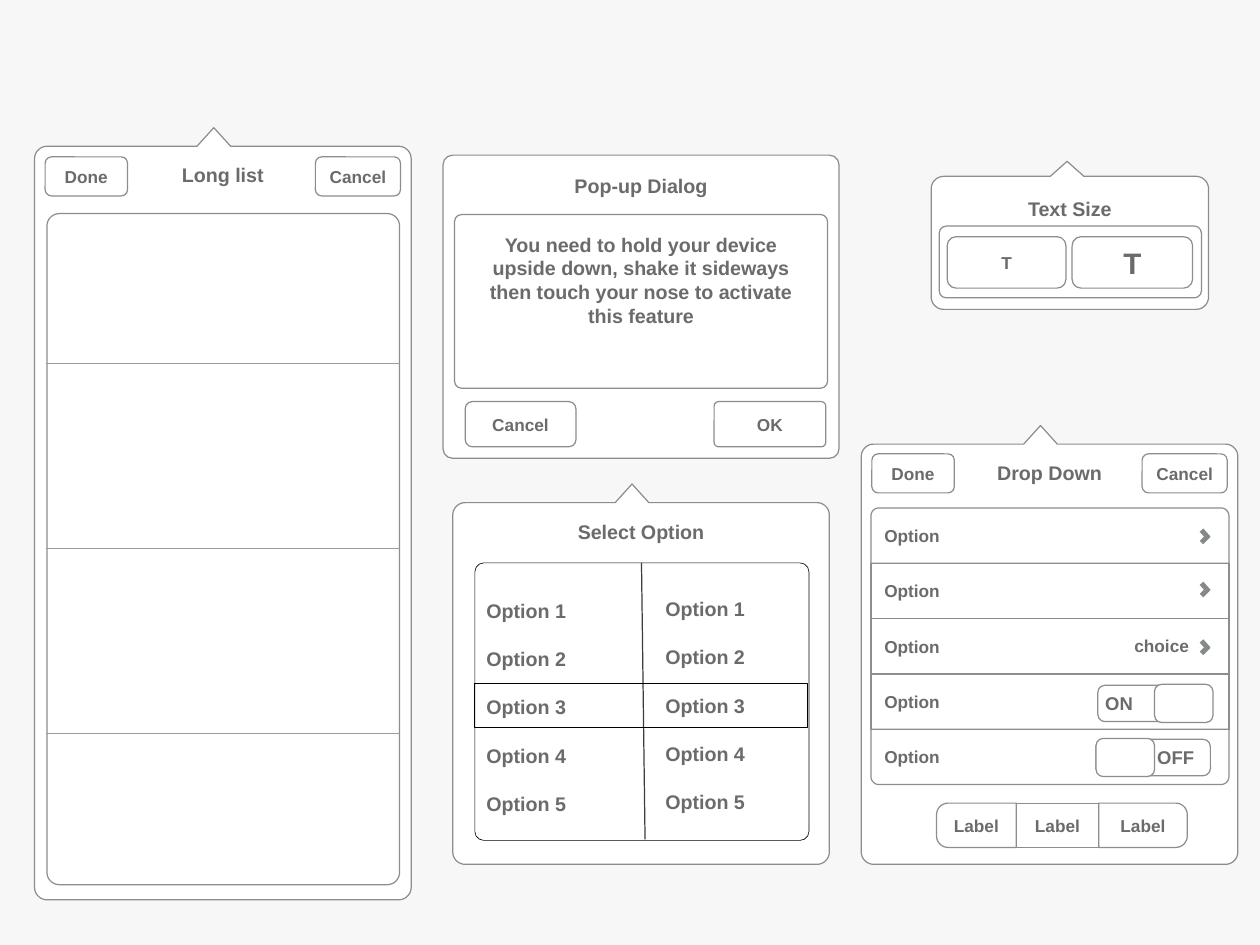
from math import cos, radians, sin

from lxml.etree import SubElement
from pptx import Presentation
from pptx.dml.color import RGBColor
from pptx.enum.shapes import MSO_CONNECTOR, MSO_SHAPE
from pptx.enum.text import MSO_ANCHOR as Anchor, PP_ALIGN as Align
from pptx.oxml.ns import qn
from pptx.util import Inches, Pt

SIZE = (14.22, 10.66)
PAPER, WHITE, BLACK = "F7F7F7", "FFFFFF", "000000"
EDGE, INK, RULE, MIDDLE, CHEVRON = "8D8D8D", "6B6B6B", "9B9B9B", "3C3C3C", "86898A"
ROUND, BUTTON, TOGGLE = 0.14, 0.07, 0.08
TITLE = {"size": 16, "anchor": Anchor.TOP, "insets": (0.18, 0.4, 0.18, 0.18)}
DIALOG = {"size": 16, "anchor": Anchor.TOP, "insets": (0.18,) * 4}
ROW = {"align": Align.LEFT, "insets": (0.15,) * 4}

MESSAGE = ("You need to hold your device upside down, shake it sideways "
           "then touch your nose to activate this feature")
DIALOG_PARTS = [
    ("Pop-up Dialog", (5, 1.75, 4.47, 3.42), 0.11, DIALOG),
    ("OK", (8.06, 4.53, 1.26, 0.51), 0.05, {}),
    (MESSAGE, (5.13, 2.42, 4.21, 1.96), 0.08, DIALOG),
    ("Cancel", (5.25, 4.53, 1.25, 0.51), 0.08, {}),
]
TEXT_SIZE_PARTS = [
    ("", (10.6, 2.55, 2.96, 0.81), 0.08, {}),
    ("T", (10.69, 2.67, 1.34, 0.58), 0.1, {}),
    ("T", (12.1, 2.67, 1.36, 0.58), 0.1, {"size": 24}),
]
HEADER_BUTTONS = [("Done", 0.12, 0.93), ("Cancel", 3.17, 0.96)]
CHOICES = [f"Option {number}" for number in range(1, 6)]
CHOICE_COLUMNS = [(5.49, 6.73, 1.69, 2.49), (7.51, 6.71, 1.53, 2.49)]
LABELS = [
    (10.57, 0.9, (0.13, 0, 0, 0.13)),
    (11.47, 0.93, (0, 0, 0, 0)),
    (12.4, 1, (0, 0.13, 0.13, 0)),
]
ROWS = [
    ("Option", (0.09, 0.09, 0, 0)),
    ("Option", (0, 0, 0, 0)),
    ("Option", (0, 0, 0, 0)),
    ("Option", (0, 0, 0, 0)),
    ("Option", (0, 0, 0.09, 0.09)),
]
ROW_LEFT, ROW_TOP, ROW_WIDTH, ROW_HEIGHT = 9.83, 5.73, 4.04, 0.624
CHEVRON_TOPS = [5.98, 6.58, 7.23]
SWITCHES = [
    ("ON", (12.39, 7.73), 13.03, {"align": Align.LEFT, "insets": (0.06, 0, 0, 0)}),
    ("OFF", (12.37, 8.34), 12.37, {"align": Align.RIGHT, "insets": (0, 0, 0.16, 0)}),
]


def color(value):
    return RGBColor.from_string(value)


def write(shape, lines, size=14, align=Align.CENTER, anchor=Anchor.MIDDLE,
          insets=(0, 0, 0, 0), gap=0):
    frame = shape.text_frame
    sides = ("margin_left", "margin_top", "margin_right", "margin_bottom")
    layout = {"word_wrap": True, "vertical_anchor": anchor}
    layout.update(zip(sides, map(Inches, insets)))
    for name, value in layout.items():
        setattr(frame, name, value)
    for index, line in enumerate(lines):
        para = frame.add_paragraph() if index else frame.paragraphs[0]
        para.alignment = align
        if index:
            para.space_before = Pt(gap)
        span = para.add_run()
        span.text = line
        for name, value in {"name": "Arial", "size": Pt(size), "bold": True}.items():
            setattr(span.font, name, value)
        span.font.color.rgb = color(INK)


def finish(shape, label="", style=None, fill=WHITE, edge=EDGE, weight=1):
    shape.shadow.inherit = False
    for part, value in ((shape.fill, fill), (shape.line.fill, edge)):
        if value:
            part.solid()
            part.fore_color.rgb = color(value)
        else:
            part.background()
    if edge:
        shape.line.width = Pt(weight)
    if label:
        write(shape, [label], **(style or {}))


def add_box(panel, place, radius=0, label="", style=None, **look):
    kind = MSO_SHAPE.ROUNDED_RECTANGLE if radius else MSO_SHAPE.RECTANGLE
    box = panel.add_shape(kind, *map(Inches, place))
    if radius:
        box.adjustments[0] = radius / min(place[2:])
    finish(box, label, style, **look)


def add_outline(panel, place, corners, label="", style=None, rise=0):
    left, top, width, height = place
    points = []
    for turn, radius in enumerate(corners):
        x = left + radius if turn in (0, 3) else left + width - radius
        y = top + radius if turn < 2 else top + height - radius
        for step in range(0, 91, 10) if radius else [0]:
            angle = radians(180 + 90 * turn + step)
            points.append((x + radius * cos(angle), y + radius * sin(angle)))
        if turn == 0 and rise:
            tip = left + width * (0.49 if width < 4 else 0.476)
            points += [(tip - 0.19, top), (tip, top - rise), (tip + 0.19, top)]
    points = [(Inches(x), Inches(y)) for x, y in points]
    builder = panel.build_freeform(*points[0], scale=1.0)
    builder.add_line_segments(points[1:], close=True)
    finish(builder.convert_to_shape(), label, style)


def add_line(panel, ends, shade, weight):
    line = panel.add_connector(MSO_CONNECTOR.STRAIGHT, *map(Inches, ends))
    line.line.color.rgb = color(shade)
    line.line.width = Pt(weight)
    SubElement(line._element.spPr, qn("a:effectLst"))


def add_header(panel, left, top):
    for label, shift, width in HEADER_BUTTONS:
        add_box(panel, (left + shift, top + 0.12, width, 0.44), BUTTON, label)


def draw_dialog(panel):
    for label, place, radius, style in DIALOG_PARTS:
        add_box(panel, place, radius, label, style)


def draw_text_size(panel):
    style = {**TITLE, "insets": (0.11, 0.4, 0.11, 0.11)}
    add_outline(panel, (10.51, 1.99, 3.13, 1.5), (ROUND,) * 4, "Text Size", style, 0.17)
    for label, place, radius, style in TEXT_SIZE_PARTS:
        add_box(panel, place, radius, label, style)


def draw_long_list(panel):
    add_outline(panel, (0.39, 1.65, 4.25, 8.5), (ROUND,) * 4, "Long list", TITLE, 0.21)
    add_header(panel, 0.39, 1.65)
    add_outline(panel, (0.53, 2.41, 3.98, 7.57), (ROUND,) * 4)
    for index in range(3):
        y = 4.1 + 2.085 * index
        add_line(panel, (0.52, y, 4.51, y), RULE, 0.75)


def draw_select_option(panel):
    add_outline(panel, (5.11, 5.67, 4.25, 4.08), (ROUND,) * 4, "Select Option", TITLE, 0.21)
    add_box(panel, (5.36, 6.35, 3.77, 3.13), 0.1, edge=BLACK, weight=0.5)
    add_line(panel, (7.24, 6.35, 7.28, 9.47), MIDDLE, 1)
    for place in CHOICE_COLUMNS:
        box = panel.add_textbox(*map(Inches, place))
        write(box, CHOICES, size=16, align=Align.LEFT, gap=20)
    add_box(panel, (5.35, 7.71, 3.76, 0.49), fill=None, edge=BLACK, weight=0.5)


def draw_drop_down(panel):
    add_outline(panel, (9.72, 5.01, 4.25, 4.74), (ROUND,) * 4, "Drop Down", TITLE, 0.21)
    add_header(panel, 9.72, 5)
    for left, width, corners in LABELS:
        add_outline(panel, (left, 9.06, width, 0.5), corners, "Label")
    for index, (label, corners) in enumerate(ROWS):
        place = (ROW_LEFT, ROW_TOP + index * ROW_HEIGHT, ROW_WIDTH, ROW_HEIGHT)
        add_outline(panel, place, corners, label, ROW)
    add_box(panel, (11.79, 7.16, 1.63, 0.24), 0, "choice", {"align": Align.RIGHT}, edge=None)
    for top in CHEVRON_TOPS:
        for start, end in ((0, 0.09), (0.14, 0.06)):
            add_line(panel, (13.56, top + start, 13.64, top + end), CHEVRON, 4)
    for label, (left, top), knob, style in SWITCHES:
        add_box(panel, (left, top, 1.29, 0.41), TOGGLE, label, {"size": 15, **style})
        add_box(panel, (knob, top - 0.01, 0.66, 0.43), TOGGLE)


def main():
    """Build the slide of mobile interface panels and save it."""
    deck = Presentation()
    deck.slide_width, deck.slide_height = map(Inches, SIZE)
    page = deck.slides.add_slide(deck.slide_layouts[6])
    page.background.fill.solid()
    page.background.fill.fore_color.rgb = color(PAPER)
    for draw in (draw_dialog, draw_text_size, draw_long_list,
                 draw_select_option, draw_drop_down):
        draw(page.shapes.add_group_shape().shapes)
    deck.save("out.pptx")


if __name__ == "__main__":
    main()
